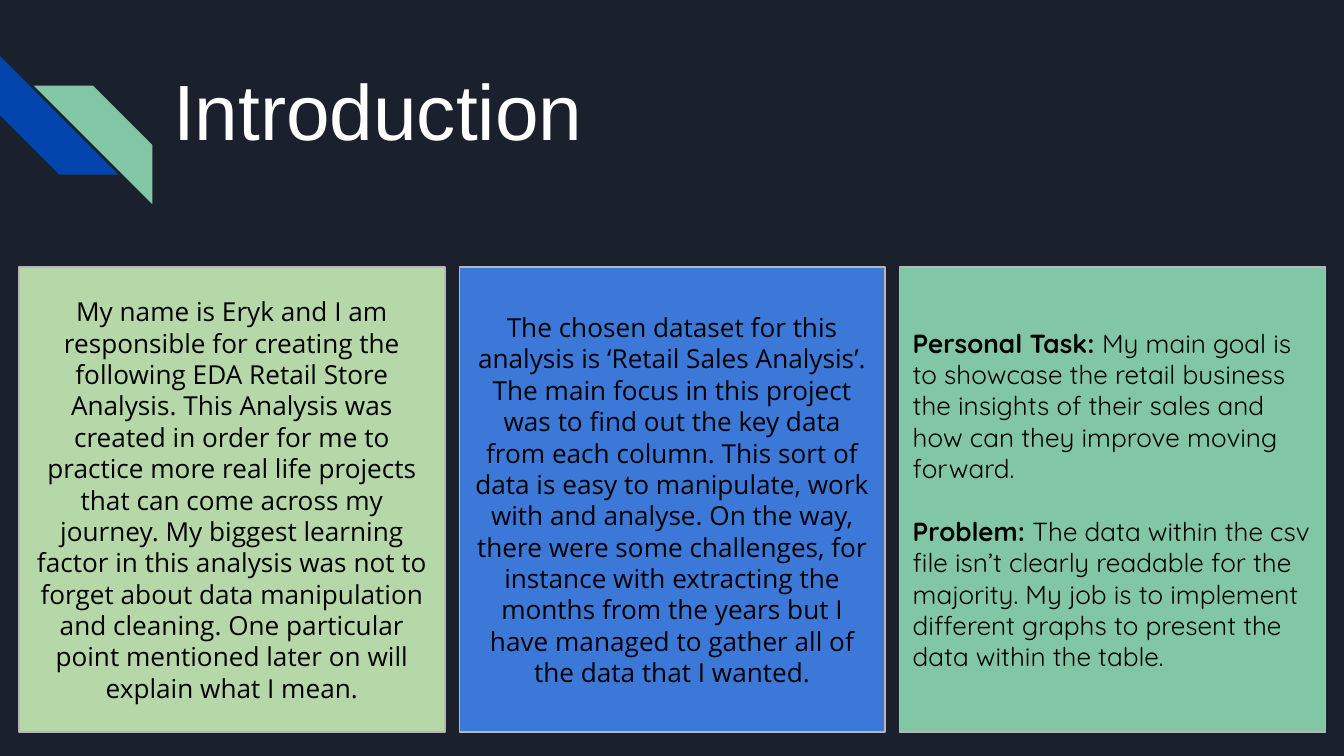
"""Builds the introduction slide with a title and three text cards."""
from pptx import Presentation
from pptx.dml.color import RGBColor
from pptx.enum.shapes import MSO_SHAPE
from pptx.enum.text import MSO_ANCHOR, PP_ALIGN
from pptx.util import Cm, Pt

NAVY = RGBColor(0x1B, 0x21, 0x2C)
BLUE = RGBColor(0x01, 0x45, 0xAC)
MINT = RGBColor(0x82, 0xC7, 0xA5)
SKY = RGBColor(0x3C, 0x78, 0xD8)
LEAF = RGBColor(0xB6, 0xD7, 0xA8)
GREY = RGBColor(0xB7, 0xB7, 0xB7)
WHITE = RGBColor(0xFF, 0xFF, 0xFF)
BLACK = RGBColor(0x00, 0x00, 0x00)

STRIPE, RECTANGLE = MSO_SHAPE.DIAGONAL_STRIPE, MSO_SHAPE.RECTANGLE
BOTTOM, MIDDLE = MSO_ANCHOR.BOTTOM, MSO_ANCHOR.MIDDLE
LEFT, CENTER = PP_ALIGN.LEFT, PP_ALIGN.CENTER

CARD_LEFT, CARD_STEP = 0.36, 8.32
LINE_PITCH = Pt(16.8)

ABOUT = (
    "My name is Eryk and I am responsible for creating the following EDA Retail Store "
    "Analysis. This Analysis was created in order for me to practice more real life "
    "projects that can come across my journey. My biggest learning factor in this "
    "analysis was not to forget about data manipulation and cleaning. One particular "
    "point mentioned later on will explain what I mean."
)
DATASET = (
    "The chosen dataset for this analysis is ‘Retail Sales Analysis’. The main focus in "
    "this project was to find out the key data from each column. This sort of data is "
    "easy to manipulate, work with and analyse. On the way, there were some challenges, "
    "for instance with extracting the months from the years but I have managed to gather "
    "all of the data that I wanted."
)
TASK = (
    "My main goal is to showcase the retail business the insights of their sales and how "
    "can they improve moving forward."
)
PROBLEM = (
    "The data within the csv file isn’t clearly readable for the majority. My job is to "
    "implement different graphs to present the data within the table."
)
CARDS = [
    (LEAF, "Open Sans", CENTER, [("", ABOUT)]),
    (SKY, "Open Sans", CENTER, [("", DATASET)]),
    (MINT, "Quicksand", LEFT, [("Personal Task: ", TASK), ("Problem: ", PROBLEM)]),
]


class IntroSlide:
    """Holds the style and the current page."""

    def __init__(self, deck):
        self.page = deck.slides.add_slide(deck.slide_layouts[5])
        fill = self.page.background.fill
        fill.solid()
        fill.fore_color.rgb = NAVY

    def shape(self, kind, left, top, width, height, color):
        """Adds a filled preset shape without a shadow or line."""
        shape = self.page.shapes.add_shape(kind, Cm(left), Cm(top), Cm(width), Cm(height))
        shape.shadow.inherit = False
        shape.fill.solid()
        shape.fill.fore_color.rgb = color
        shape.line.fill.background()
        return shape

    def stripe(self, left, top, rotation, color):
        """Adds one diagonal stripe of the corner ornament."""
        self.shape(STRIPE, left, top, 2.24, 2.24, color).rotation = rotation

    def frame(self, box, anchor):
        """Returns the text frame of a box with even insets."""
        frame = box.text_frame
        frame.word_wrap = True
        frame.vertical_anchor = anchor
        frame.margin_left = frame.margin_right = Cm(0.25)
        frame.margin_top = frame.margin_bottom = Cm(0.25)
        return frame

    def style(self, span, font, size, color, bold=False):
        """Formats one run."""
        span.font.name = font
        span.font.size = Pt(size)
        span.font.color.rgb = color
        span.font.bold = bold

    def title(self, text):
        """Fills and places the title placeholder."""
        box = self.page.shapes.title
        box.left, box.top, box.width, box.height = Cm(3.02), Cm(0.89), Cm(23.67), Cm(2.31)
        frame = self.frame(box, BOTTOM)
        frame.text = text
        para = frame.paragraphs[0]
        para.alignment = LEFT
        self.style(para.runs[0], "Arial", 42, WHITE)

    def card(self, left, color, font, alignment, entries):
        """Adds a card with paragraphs that may open with a bold label."""
        box = self.shape(RECTANGLE, left, 5.05, 8.05, 8.79, color)
        box.line.color.rgb = GREY
        box.line.width = Pt(0.75)
        frame = self.frame(box, MIDDLE)
        for index, (label, text) in enumerate(entries):
            para = frame.add_paragraph() if index else frame.paragraphs[0]
            para.alignment = alignment
            para.line_spacing = LINE_PITCH
            if index:
                para.space_before = LINE_PITCH
            for words, bold in ((label, True), (text, False)):
                if words:
                    span = para.add_run()
                    span.text = words
                    self.style(span, font, 14, BLACK, bold)


def main():
    """Builds and saves the deck."""
    deck = Presentation()
    deck.slide_width, deck.slide_height = Cm(25.4), Cm(14.29)
    slide = IntroSlide(deck)
    slide.stripe(0, 1.06, 270, BLUE)
    slide.stripe(0.64, 1.62, 90, MINT)
    slide.title("Introduction")
    for index, card in enumerate(CARDS):
        slide.card(CARD_LEFT + index * CARD_STEP, *card)
    deck.save("out.pptx")


if __name__ == "__main__":
    main()
